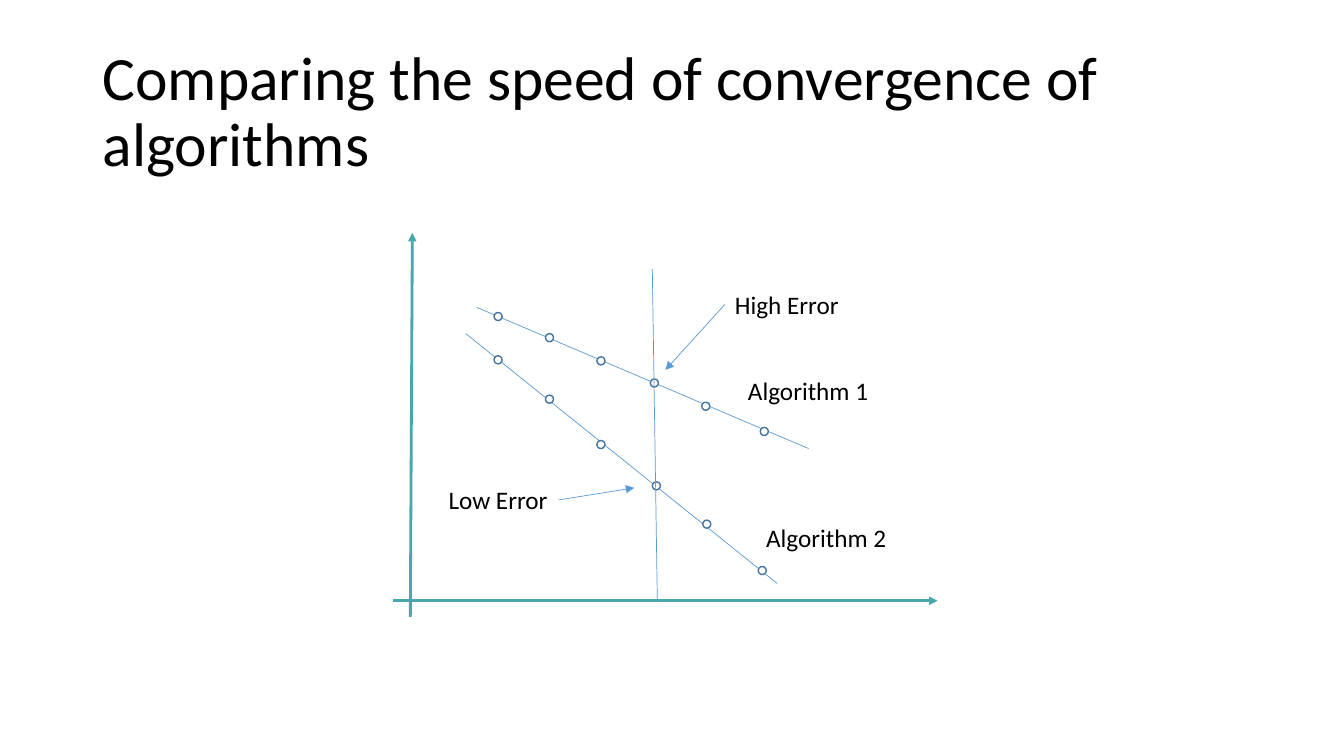
from pptx import Presentation
from pptx.dml.color import RGBColor
from pptx.enum.shapes import MSO_CONNECTOR, MSO_SHAPE
from pptx.enum.text import MSO_ANCHOR, MSO_AUTO_SIZE
from pptx.oxml.ns import qn
from pptx.util import Inches, Pt
from lxml.etree import SubElement

BLACK = RGBColor(0x00, 0x00, 0x00)
WHITE = RGBColor(0xFF, 0xFF, 0xFF)
TEAL = RGBColor(0x48, 0xA6, 0xAD)
BLUE = RGBColor(0x5B, 0x9B, 0xD5)
DARK_BLUE = RGBColor(0x43, 0x73, 0x9E)


class ConvergenceSlide:
    """Draws the parts of a convergence diagram on one slide in one style."""

    font_name = "Calibri"
    marker_size = 0.08

    def __init__(self, slide):
        self.shapes = slide.shapes

    def text(self, words, left, top, width, height, size):
        box = self.shapes.add_textbox(
            Inches(left), Inches(top), Inches(width), Inches(height))
        paragraph = box.text_frame.paragraphs[0]
        run = paragraph.add_run()
        run.text = words
        run.font.name = self.font_name
        run.font.size = Pt(size)
        run.font.color.rgb = BLACK
        return box.text_frame

    def title(self, words):
        frame = self.text(words, 0.92, 0.4, 11.5, 1.45, 44)
        frame.word_wrap = True
        frame.vertical_anchor = MSO_ANCHOR.MIDDLE
        frame.paragraphs[0].line_spacing = 0.9

    def label(self, words, left, top, width):
        frame = self.text(words, left, top, width, 0.4, 18)
        frame.word_wrap = False
        frame.auto_size = MSO_AUTO_SIZE.SHAPE_TO_FIT_TEXT

    def line(self, start, end, color=BLUE, weight=0.5, arrow=False):
        connector = self.shapes.add_connector(
            MSO_CONNECTOR.STRAIGHT, *map(Inches, start + end))
        connector.line.color.rgb = color
        connector.line.width = Pt(weight)
        if arrow:
            outline = connector.line._get_or_add_ln()
            SubElement(outline, qn("a:tailEnd"), type="triangle")
        SubElement(connector._element.spPr, qn("a:effectLst"))

    def axis(self, start, end):
        self.line(start, end, TEAL, 2, arrow=True)

    def marker(self, left, top):
        size = Inches(self.marker_size)
        circle = self.shapes.add_shape(
            MSO_SHAPE.OVAL, Inches(left), Inches(top), size, size)
        circle.shadow.inherit = False
        circle.fill.solid()
        circle.fill.fore_color.rgb = WHITE
        circle.line.color.rgb = DARK_BLUE
        circle.line.width = Pt(1)


def main():
    presentation = Presentation()
    presentation.slide_width = Inches(13.33)
    presentation.slide_height = Inches(7.5)
    diagram = ConvergenceSlide(
        presentation.slides.add_slide(presentation.slide_layouts[6]))

    diagram.title("Comparing the speed of convergence of algorithms")
    diagram.axis((3.9, 5.96), (9.3, 5.96))
    diagram.axis((4.07, 6.12), (4.09, 2.31))

    diagram.line((4.73, 3.05), (8.02, 4.45))
    diagram.line((4.62, 3.31), (7.71, 5.79))
    algorithm_1 = [(4.9, 3.1), (5.41, 3.31), (5.92, 3.54),
                   (6.45, 3.76), (6.96, 3.99), (7.54, 4.24)]
    algorithm_2 = [(4.9, 3.53), (5.41, 3.92), (5.92, 4.37),
                   (6.47, 4.78), (6.97, 5.16), (7.52, 5.62)]
    for left, top in algorithm_1 + algorithm_2:
        diagram.marker(left, top)
    diagram.label("Algorithm 1", 7.32, 3.67, 1.41)
    diagram.label("Algorithm 2", 7.5, 5.13, 1.41)

    diagram.line((6.47, 2.67), (6.52, 5.97))
    diagram.line((7.19, 3.02), (6.6, 3.67), arrow=True)
    diagram.label("High Error", 7.19, 2.82, 1.24)
    diagram.line((5.54, 4.96), (6.29, 4.84), arrow=True)
    diagram.label("Low Error", 4.35, 4.76, 1.19)

    presentation.save("out.pptx")


if __name__ == "__main__":
    main()
